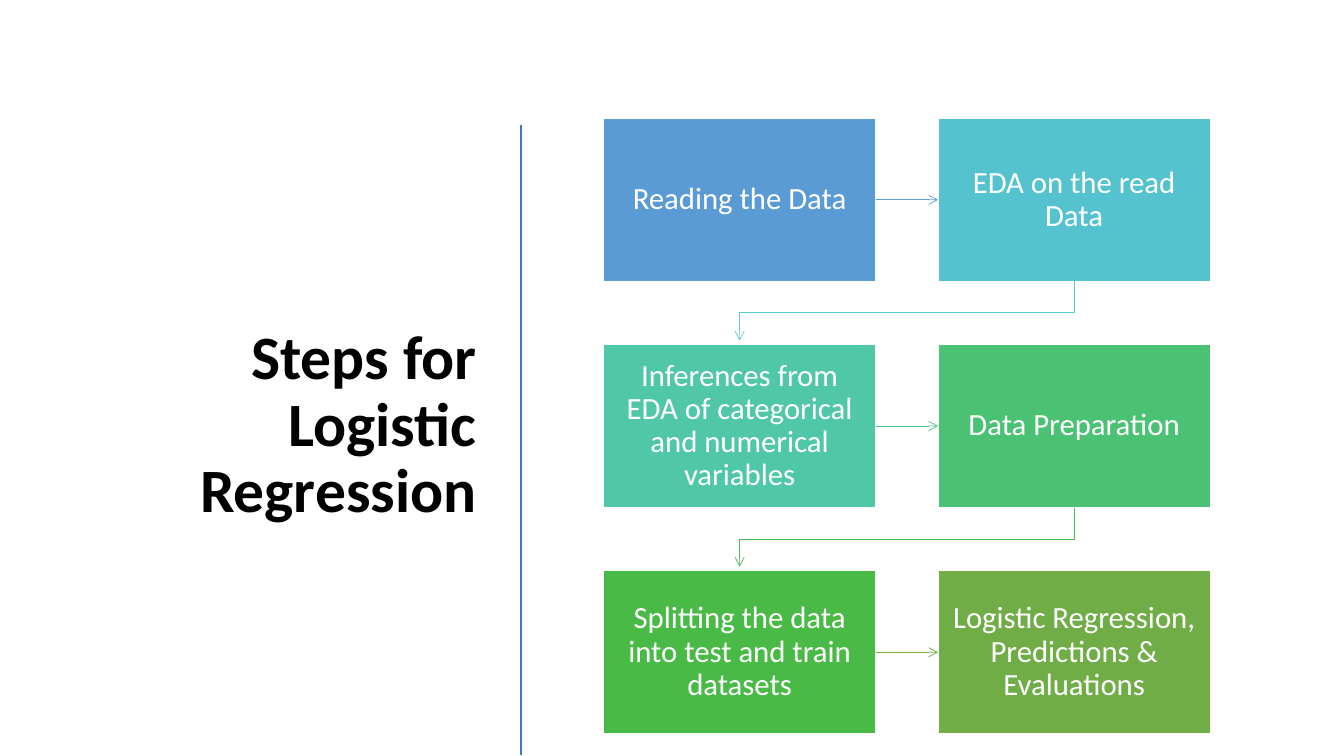
from lxml import etree
from pptx import Presentation
from pptx.dml.color import RGBColor
from pptx.enum.shapes import MSO_CONNECTOR, MSO_SHAPE
from pptx.enum.text import MSO_ANCHOR, PP_ALIGN
from pptx.oxml.ns import qn
from pptx.util import Cm, Pt

STRAIGHT = MSO_CONNECTOR.STRAIGHT
RECTANGLE = MSO_SHAPE.RECTANGLE
MIDDLE = MSO_ANCHOR.MIDDLE
CENTER = PP_ALIGN.CENTER
RIGHT = PP_ALIGN.RIGHT

COLORS = {"black": "000000", "white": "FFFFFF", "divider": "4472C4"}
STEPS = [
    ("Reading the Data", "5B9BD5"),
    ("EDA on the read Data", "55C3CF"),
    ("Inferences from EDA of categorical and numerical variables", "50C8A7"),
    ("Data Preparation", "4BC174"),
    ("Splitting the data into test and train datasets", "4ABA46"),
    ("Logistic Regression, Predictions & Evaluations", "70AD47"),
]
ARROW_COLORS = ["5B9BD5", "54CCCD", "4DC58D", "48BB4F", "70AD47"]
COLUMNS = 2
GRID_LEFT, GRID_TOP = Cm(15.21), Cm(2.98)
STEP_WIDTH, STEP_HEIGHT = Cm(6.86), Cm(4.11)
COLUMN_PITCH, ROW_PITCH = Cm(8.43), Cm(5.7)


def write_text(shape, text, size, color, alignment, bold=False):
    """Fill a shape with one formatted, vertically centred paragraph."""
    frame = shape.text_frame
    frame.word_wrap = True
    frame.vertical_anchor = MIDDLE
    frame.text = text
    para = frame.paragraphs[0]
    para.alignment = alignment
    para.line_spacing = 0.9
    span = para.runs[0]
    span.font.name = "Calibri"
    span.font.size = Pt(size)
    span.font.bold = bold
    span.font.color.rgb = RGBColor.from_string(color)


def style_line(shape, color, width, arrow=False):
    """Colour a line and optionally give its end an open arrowhead."""
    shape.line.color.rgb = RGBColor.from_string(color)
    shape.line.width = Pt(width)
    if arrow:
        etree.SubElement(shape.line._get_or_add_ln(), qn("a:tailEnd"), type="arrow")


def add_title(page, text):
    """Add the right-aligned title."""
    box = page.shapes.add_textbox(Cm(1.32), Cm(2.98), Cm(10.95), Cm(15.52))
    write_text(box, text, 44, COLORS["black"], RIGHT, bold=True)
    box.text_frame.paragraphs[0].space_after = Pt(6)


def add_straight(page, start, end, color, width, arrow=False):
    """Add a straight connector without shadow."""
    connector = page.shapes.add_connector(STRAIGHT, *start, *end)
    style_line(connector, color, width, arrow)
    etree.SubElement(connector._element.spPr, qn("a:effectLst"))
    return connector


def add_step(page, index, text, color):
    """Add one step box at its place in the grid."""
    row, column = divmod(index, COLUMNS)
    box = page.shapes.add_shape(
        RECTANGLE, GRID_LEFT + column * COLUMN_PITCH, GRID_TOP + row * ROW_PITCH,
        STEP_WIDTH, STEP_HEIGHT)
    box.shadow.inherit = False
    box.fill.solid()
    box.fill.fore_color.rgb = RGBColor.from_string(color)
    style_line(box, COLORS["white"], 1)
    frame = box.text_frame
    frame.margin_left = frame.margin_right = Cm(0.33)
    frame.margin_top = frame.margin_bottom = Cm(0.36)
    write_text(box, text, 22, COLORS["white"], CENTER)
    return box


def add_row_arrow(page, source, target, color):
    """Join two neighbouring steps in a row."""
    middle = source.top + source.height // 2
    arrow = add_straight(page, (source.left + source.width, middle),
                         (target.left, middle), color, 0.5, arrow=True)
    arrow.begin_connect(source, 3)
    arrow.end_connect(target, 1)


def add_return_arrow(page, source, target, color):
    """Lead from the end of a row to the start of the next."""
    start_x = source.left + source.width // 2
    end_x = target.left + target.width // 2
    bottom = source.top + source.height
    bend = bottom + Cm(0.79)
    builder = page.shapes.build_freeform(start_x, bottom)
    builder.add_line_segments(
        [(start_x, bend), (end_x, bend), (end_x, target.top - Cm(0.1))], close=False)
    arrow = builder.convert_to_shape()
    arrow.shadow.inherit = False
    arrow.fill.background()
    style_line(arrow, color, 0.5, arrow=True)


def main():
    """Build the slide and save it."""
    deck = Presentation()
    deck.slide_width, deck.slide_height = Cm(33.87), Cm(19.05)
    page = deck.slides.add_slide(deck.slide_layouts[6])
    add_title(page, "Steps for Logistic Regression")
    add_straight(page, (Cm(13.13), Cm(3.15)), (Cm(13.13), Cm(19.02)),
                 COLORS["divider"], 2)
    boxes = [add_step(page, index, *step) for index, step in enumerate(STEPS)]
    for index, color in enumerate(ARROW_COLORS):
        add_arrow = add_return_arrow if index % COLUMNS else add_row_arrow
        add_arrow(page, boxes[index], boxes[index + 1], color)
    deck.save("out.pptx")


if __name__ == "__main__":
    main()
